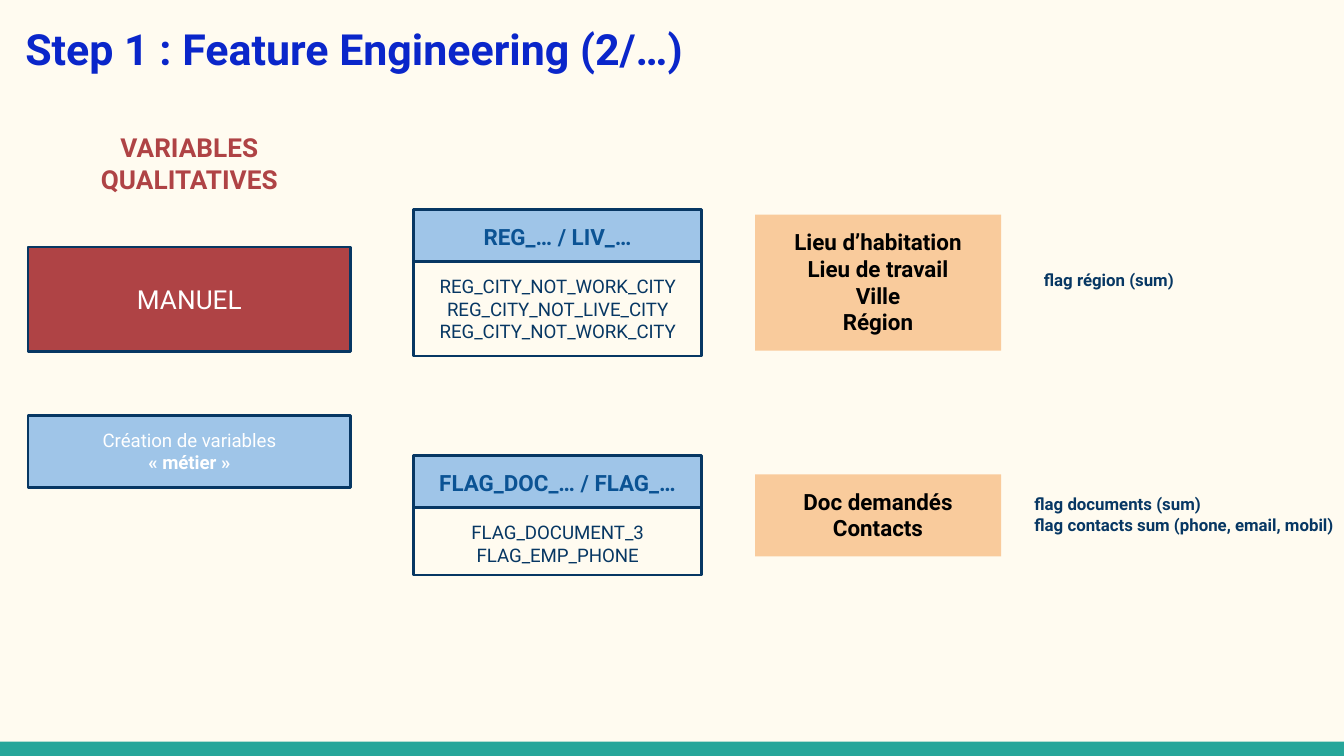
from dataclasses import dataclass

from pptx import Presentation
from pptx.dml.color import RGBColor
from pptx.enum.shapes import MSO_SHAPE
from pptx.enum.text import MSO_ANCHOR, PP_ALIGN
from pptx.util import Cm, Pt

RECT = MSO_SHAPE.RECTANGLE
TOP, MIDDLE = MSO_ANCHOR.TOP, MSO_ANCHOR.MIDDLE
LEFT, CENTER = PP_ALIGN.LEFT, PP_ALIGN.CENTER


@dataclass(frozen=True)
class Theme:
    font: str = "Roboto"
    cream: str = "FFFBF0"
    teal: str = "26A69A"
    title: str = "0A26CA"
    red: str = "AF4345"
    navy: str = "073763"
    blue: str = "0B5394"
    sky: str = "9FC5E8"
    peach: str = "F9CB9C"
    white: str = "FFFFFF"
    black: str = "000000"
    huge: int = 23
    large: int = 14
    medium: int = 12
    small: int = 10
    tiny: int = 9
    edge: float = 1.5


T = Theme()
rgb = RGBColor.from_string


def block(parent, place, fill=None, line=None):
    """Add a rectangle at place (left, top, width, height in cm)."""
    shape = parent.add_shape(RECT, *map(Cm, place))
    shape.shadow.inherit = False
    if fill:
        shape.fill.solid()
        shape.fill.fore_color.rgb = rgb(fill)
    else:
        shape.fill.background()
    if line:
        shape.line.color.rgb = rgb(line)
        shape.line.width = Pt(T.edge)
    else:
        shape.line.fill.background()
    return shape


def write(shape, text, size, color, bold=False, align=CENTER, anchor=TOP):
    frame = shape.text_frame
    frame.word_wrap = True
    frame.vertical_anchor = anchor
    frame.margin_left = frame.margin_right = Cm(0.25)
    frame.margin_top = frame.margin_bottom = Cm(0.25)
    frame.text = text
    for para in frame.paragraphs:
        para.alignment = align
        for run in para.runs:
            run.font.name = T.font
            run.font.size = Pt(size)
            run.font.bold = bold
            run.font.color.rgb = rgb(color)


deck = Presentation()
deck.slide_width, deck.slide_height = Cm(25.4), Cm(14.29)
slide = deck.slides.add_slide(deck.slide_layouts[6])
slide.background.fill.solid()
slide.background.fill.fore_color.rgb = rgb(T.cream)
shapes = slide.shapes

# Footer band
block(shapes, (0, 14.02, 25.4, 0.27), T.teal)

# Title, column heading and output flags
labels = [
    ((0.23, 0.18, 21.26, 1.6), "Step 1 : Feature Engineering (2/…)",
     T.huge, T.title, LEFT),
    ((1.04, 2.24, 5.08, 1.7), "VARIABLES QUALITATIVES",
     T.large, T.red, CENTER),
    ((19.48, 4.9, 5.92, 0.89), "flag région (sum)",
     T.tiny, T.navy, LEFT),
    ((19.3, 9.09, 6.81, 1.27),
     "flag documents (sum)\nflag contacts sum (phone, email, mobil)",
     T.tiny, T.navy, LEFT),
]
for place, text, size, color, align in labels:
    label = shapes.add_textbox(*map(Cm, place))
    write(label, text, size, color, True, align)

# Left column: method
manual = block(shapes, (0.53, 4.67, 6.1, 1.98), T.red, T.navy)
write(manual, "MANUEL", T.large, T.white, anchor=MIDDLE)

craft = block(shapes, (0.53, 7.85, 6.1, 1.37), T.sky, T.navy)
write(craft, "Création de variables\n« métier »", T.small, T.white)
craft.text_frame.paragraphs[1].runs[0].font.bold = True

# Middle column: variable families, a head above a body
head_h = 0.99
cards = [
    (3.96, 1.78, "REG_… / LIV_…",
     "REG_CITY_NOT_WORK_CITY\nREG_CITY_NOT_LIVE_CITY\nREG_CITY_NOT_WORK_CITY"),
    (8.61, 1.27, "FLAG_DOC_… / FLAG_…", "FLAG_DOCUMENT_3\nFLAG_EMP_PHONE"),
]
for top, body_h, name, fields in cards:
    group = shapes.add_group_shape().shapes
    head = block(group, (7.82, top, 5.44, head_h), T.sky, T.navy)
    write(head, name, T.medium, T.blue, True)
    body = block(group, (7.82, top + head_h, 5.44, body_h), None, T.navy)
    write(body, fields, T.small, T.navy)

# Right column: themes
topics = [
    (4.06, 2.57, "Lieu d’habitation\nLieu de travail\nVille\nRégion"),
    (8.97, 1.55, "Doc demandés\nContacts"),
]
for top, height, text in topics:
    topic = block(shapes, (14.27, top, 4.65, height), T.peach)
    write(topic, text, T.medium, T.black, True)

deck.save("out.pptx")
